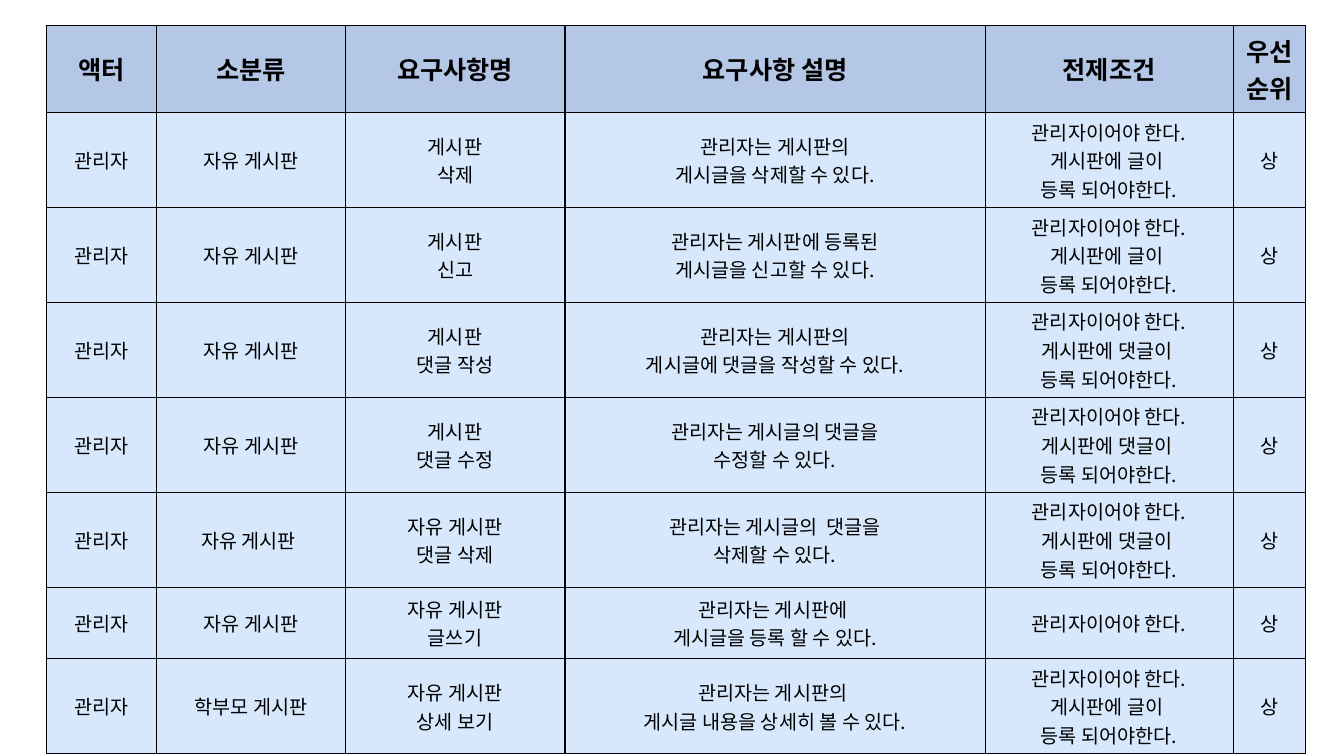
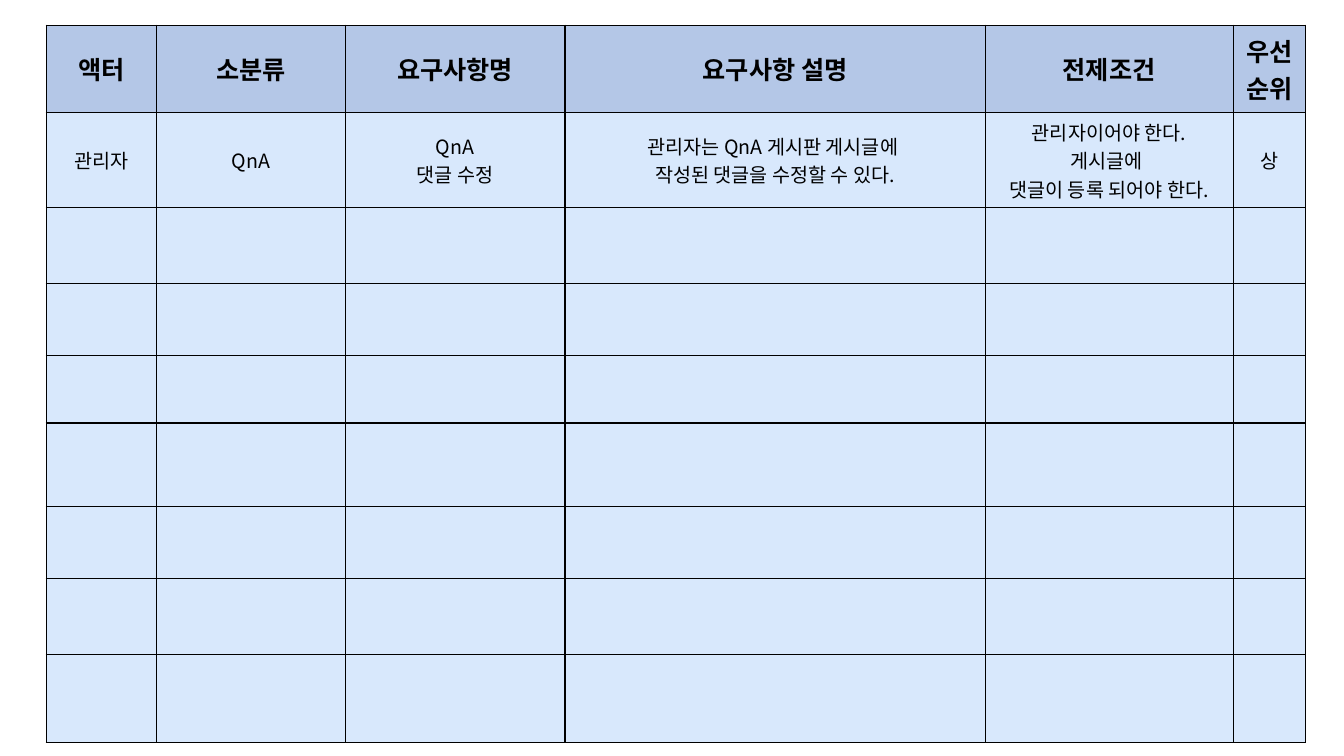
from lxml import etree
from pptx import Presentation
from pptx.dml.color import RGBColor
from pptx.enum.text import MSO_ANCHOR, PP_ALIGN
from pptx.oxml.ns import qn
from pptx.util import Pt

CENTER = PP_ALIGN.CENTER
MIDDLE = MSO_ANCHOR.MIDDLE
FONT = "Noto Sans CJK KR"
BLACK = RGBColor(0x00, 0x00, 0x00)
HEADER_BLUE = RGBColor(0xB4, 0xC7, 0xE7)
BODY_BLUE = RGBColor(0xD8, 0xE8, 0xFC)

LEFT, TOP = 33, 18
CELL_MARGIN = 3.3
COLUMN_WIDTHS = [79, 134.6, 157, 300.2, 177.1, 51.6]
HEADER_HEIGHT = 62.4
THREE_LINES = 67.8
TWO_LINES = 51.1
BOARD_HEIGHTS = [THREE_LINES] * 5 + [TWO_LINES, THREE_LINES]
QNA_HEIGHTS = [THREE_LINES, 54, 51.8, 48.2, 59.8, 51.1, 54.7, 62.4]

HEADINGS = ["액터", "소분류", "요구사항명", "요구사항 설명", "전제조건", "우선순위"]
ACTOR = "관리자"
PRIORITY = "상"
IS_ADMIN = "관리자이어야 한다."
HAS_POST = IS_ADMIN + "\n게시판에 글이 \n등록 되어야한다."
HAS_COMMENT = IS_ADMIN + "\n게시판에 댓글이 \n등록 되어야한다."

BOARD_REQUIREMENTS = [
    ("자유 게시판", "게시판\n삭제", "관리자는 게시판의\n게시글을 삭제할 수 있다.", HAS_POST),
    ("자유 게시판", "게시판\n신고", "관리자는 게시판에 등록된\n게시글을 신고할 수 있다.", HAS_POST),
    ("자유 게시판", "게시판\n댓글 작성", "관리자는 게시판의\n게시글에 댓글을 작성할 수 있다.", HAS_COMMENT),
    ("자유 게시판", "게시판\n댓글 수정", "관리자는 게시글의 댓글을\n수정할 수 있다.", HAS_COMMENT),
    ("자유 게시판 ", "자유 게시판\n댓글 삭제", "관리자는 게시글의  댓글을\n삭제할 수 있다.", HAS_COMMENT),
    ("자유 게시판", "자유 게시판\n글쓰기", "관리자는 게시판에 \n게시글을 등록 할 수 있다.", IS_ADMIN),
    ("학부모 게시판", "자유 게시판\n상세 보기", "관리자는 게시판의 \n게시글 내용을 상세히 볼 수 있다.", HAS_POST),
]
QNA_REQUIREMENTS = [
    ("QnA", "QnA\n댓글 수정", "관리자는 QnA 게시판 게시글에 \n작성된 댓글을 수정할 수 있다.",
     IS_ADMIN + "\n게시글에 \n댓글이 등록 되어야 한다."),
]
PAGES = [(BOARD_REQUIREMENTS, BOARD_HEIGHTS), (QNA_REQUIREMENTS, QNA_HEIGHTS)]


def write_text(cell, text, size=14, bold=False, color=BLACK):
    cell.text = text
    for para in cell.text_frame.paragraphs:
        para.alignment = CENTER
        for span in para.runs:
            span.font.size = Pt(size)
            span.font.bold = bold
            span.font.name = FONT
            span.font.color.rgb = color
            east_asian = etree.SubElement(span.font._element, qn("a:ea"))
            east_asian.set("typeface", FONT)


def style_cell(cell, color):
    properties = cell._tc.get_or_add_tcPr()
    for side in ("lnL", "lnR", "lnT", "lnB"):
        line = etree.SubElement(properties, qn("a:" + side), w=str(Pt(1)))
        fill = etree.SubElement(line, qn("a:solidFill"))
        etree.SubElement(fill, qn("a:srgbClr"), val=str(BLACK))
    cell.fill.solid()
    cell.fill.fore_color.rgb = color
    cell.vertical_anchor = MIDDLE
    cell.margin_top = cell.margin_bottom = Pt(CELL_MARGIN)


def add_requirements_page(deck, requirements, body_heights):
    heights = [HEADER_HEIGHT, *body_heights]
    page = deck.slides.add_slide(deck.slide_layouts[6])
    table = page.shapes.add_table(
        len(heights), len(COLUMN_WIDTHS), Pt(LEFT), Pt(TOP),
        Pt(sum(COLUMN_WIDTHS)), Pt(sum(heights))).table
    table.first_row = False
    table.horz_banding = False
    for column, width in zip(table.columns, COLUMN_WIDTHS):
        column.width = Pt(width)
    for index, (row, height) in enumerate(zip(table.rows, heights)):
        row.height = Pt(height)
        for cell in row.cells:
            style_cell(cell, BODY_BLUE if index else HEADER_BLUE)
    for cell, heading in zip(table.rows[0].cells, HEADINGS):
        write_text(cell, heading, size=18, bold=True)
    for index, requirement in enumerate(requirements, 1):
        for cell, text in zip(table.rows[index].cells, (ACTOR, *requirement, PRIORITY)):
            write_text(cell, text)


def main():
    deck = Presentation()
    deck.slide_width, deck.slide_height = Pt(960), Pt(540)
    for requirements, body_heights in PAGES:
        add_requirements_page(deck, requirements, body_heights)
    deck.save("out.pptx")


if __name__ == "__main__":
    main()
